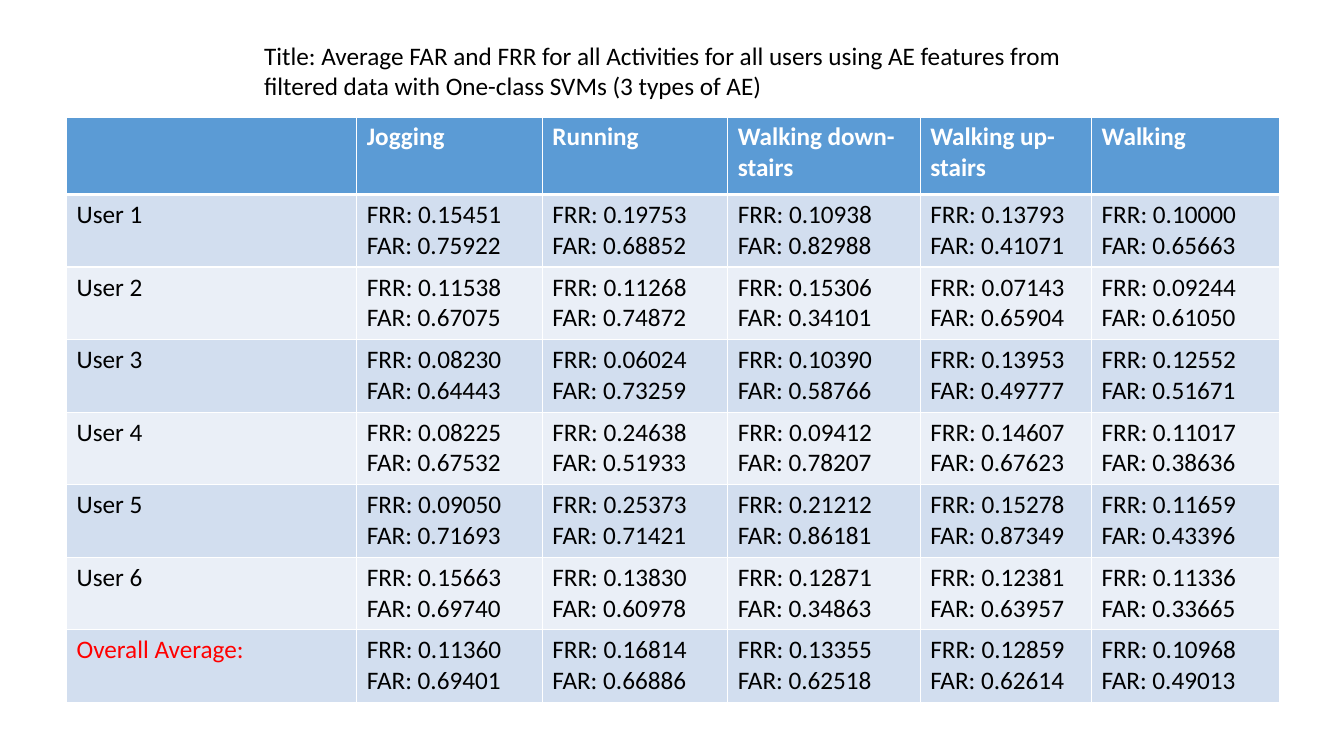
import lxml.etree
import pptx
import pptx.dml.color
import pptx.enum.text
import pptx.oxml.ns
import pptx.util

BLACK = pptx.dml.color.RGBColor(0x00, 0x00, 0x00)
WHITE = pptx.dml.color.RGBColor(0xFF, 0xFF, 0xFF)
RED = pptx.dml.color.RGBColor(0xFF, 0x00, 0x00)
HEADER_BLUE = pptx.dml.color.RGBColor(0x5B, 0x9B, 0xD5)
BAND_DARK = pptx.dml.color.RGBColor(0xD2, 0xDE, 0xEF)
BAND_LIGHT = pptx.dml.color.RGBColor(0xEA, 0xEF, 0xF7)

ACTIVITIES = ["Jogging", "Running", "Walking down-stairs", "Walking up-stairs", "Walking"]

# Each user's (FRR, FAR) pairs, in the order of the activities
RATES = {
    "User 1": [(0.15451, 0.75922), (0.19753, 0.68852), (0.10938, 0.82988),
               (0.13793, 0.41071), (0.10000, 0.65663)],
    "User 2": [(0.11538, 0.67075), (0.11268, 0.74872), (0.15306, 0.34101),
               (0.07143, 0.65904), (0.09244, 0.61050)],
    "User 3": [(0.08230, 0.64443), (0.06024, 0.73259), (0.10390, 0.58766),
               (0.13953, 0.49777), (0.12552, 0.51671)],
    "User 4": [(0.08225, 0.67532), (0.24638, 0.51933), (0.09412, 0.78207),
               (0.14607, 0.67623), (0.11017, 0.38636)],
    "User 5": [(0.09050, 0.71693), (0.25373, 0.71421), (0.21212, 0.86181),
               (0.15278, 0.87349), (0.11659, 0.43396)],
    "User 6": [(0.15663, 0.69740), (0.13830, 0.60978), (0.12871, 0.34863),
               (0.12381, 0.63957), (0.11336, 0.33665)],
    "Overall Average:": [(0.11360, 0.69401), (0.16814, 0.66886), (0.13355, 0.62518),
                         (0.12859, 0.62614), (0.10968, 0.49013)],
}


def write_text(frame, lines, *, font="Calibri", size=18, color=BLACK, bold=False):
    """Fill a text frame with one left-aligned paragraph per line."""
    frame.word_wrap = True
    for index, line in enumerate(lines):
        paragraph = frame.add_paragraph() if index else frame.paragraphs[0]
        paragraph.alignment = pptx.enum.text.PP_ALIGN.LEFT
        run = paragraph.add_run()
        run.text = line
        run.font.name = font
        run.font.size = pptx.util.Pt(size)
        run.font.bold = bold
        run.font.color.rgb = color


class SlideGrid:
    """Style and current slide, measured on a grid of columns and rows."""

    COLUMNS, ROWS = 133.33, 75

    def __init__(self, deck):
        self.column = deck.slide_width / self.COLUMNS
        self.row = deck.slide_height / self.ROWS
        self.slide = deck.slides.add_slide(deck.slide_layouts[5])

    def across(self, columns):
        return round(columns * self.column)

    def down(self, rows):
        return round(rows * self.row)

    def title(self, text, left, top, width, height):
        heading = self.slide.shapes.title
        heading.left, heading.top = self.across(left), self.down(top)
        heading.width, heading.height = self.across(width), self.down(height)
        heading.text_frame.vertical_anchor = pptx.enum.text.MSO_ANCHOR.TOP
        heading.text_frame.auto_size = pptx.enum.text.MSO_AUTO_SIZE.NONE
        write_text(heading.text_frame, [text])

    def table(self, left, top, widths, heights):
        frame = self.slide.shapes.add_table(
            len(heights), len(widths), self.across(left), self.down(top),
            self.across(sum(widths)), self.down(sum(heights)))
        for column, width in zip(frame.table.columns, widths):
            column.width = self.across(width)
        for row, height in zip(frame.table.rows, heights):
            row.height = self.down(height)
        return frame.table

    def cell(self, cell, lines, fill, top_line=1, bottom_line=1, **text_format):
        properties = cell._tc.get_or_add_tcPr()
        qn = pptx.oxml.ns.qn
        for side, points in zip("LRTB", (1, 1, top_line, bottom_line)):
            border = lxml.etree.SubElement(
                properties, qn("a:ln" + side), w=str(pptx.util.Pt(points)))
            paint = lxml.etree.SubElement(border, qn("a:solidFill"))
            lxml.etree.SubElement(paint, qn("a:srgbClr"), val=str(WHITE))
        cell.fill.solid()
        cell.fill.fore_color.rgb = fill
        write_text(cell.text_frame, lines, **text_format)


def main():
    deck = pptx.Presentation()
    deck.slide_width = pptx.util.Inches(13.33)
    deck.slide_height = pptx.util.Inches(7.5)
    grid = SlideGrid(deck)

    # Title
    grid.title("Title: Average FAR and FRR for all Activities for all users using "
               "AE features from filtered data with One-class SVMs (3 types of AE)",
               25.2, 3.5, 81.3, 10.1)

    # Table of rates
    rates = grid.table(6.6, 11.6, [28.8, 18.4, 18.4, 19.1, 17, 18.7],
                       [7.7] + [7.2] * len(RATES))

    # Header row
    for column, activity in enumerate([""] + ACTIVITIES):
        grid.cell(rates.cell(0, column), [activity] if activity else [], HEADER_BLUE,
                  bottom_line=3, color=WHITE, bold=True)

    # Banded rows, one per user, then the average
    for row, (user, pairs) in enumerate(RATES.items(), start=1):
        band = BAND_DARK if row % 2 else BAND_LIGHT
        top_line = 3 if row == 1 else 1
        grid.cell(rates.cell(row, 0), [user], band, top_line,
                  color=RED if row == len(RATES) else BLACK)
        for column, (frr, far) in enumerate(pairs, start=1):
            grid.cell(rates.cell(row, column), [f"FRR: {frr:.5f}", f"FAR: {far:.5f}"],
                      band, top_line)

    deck.save("out.pptx")


if __name__ == "__main__":
    main()
